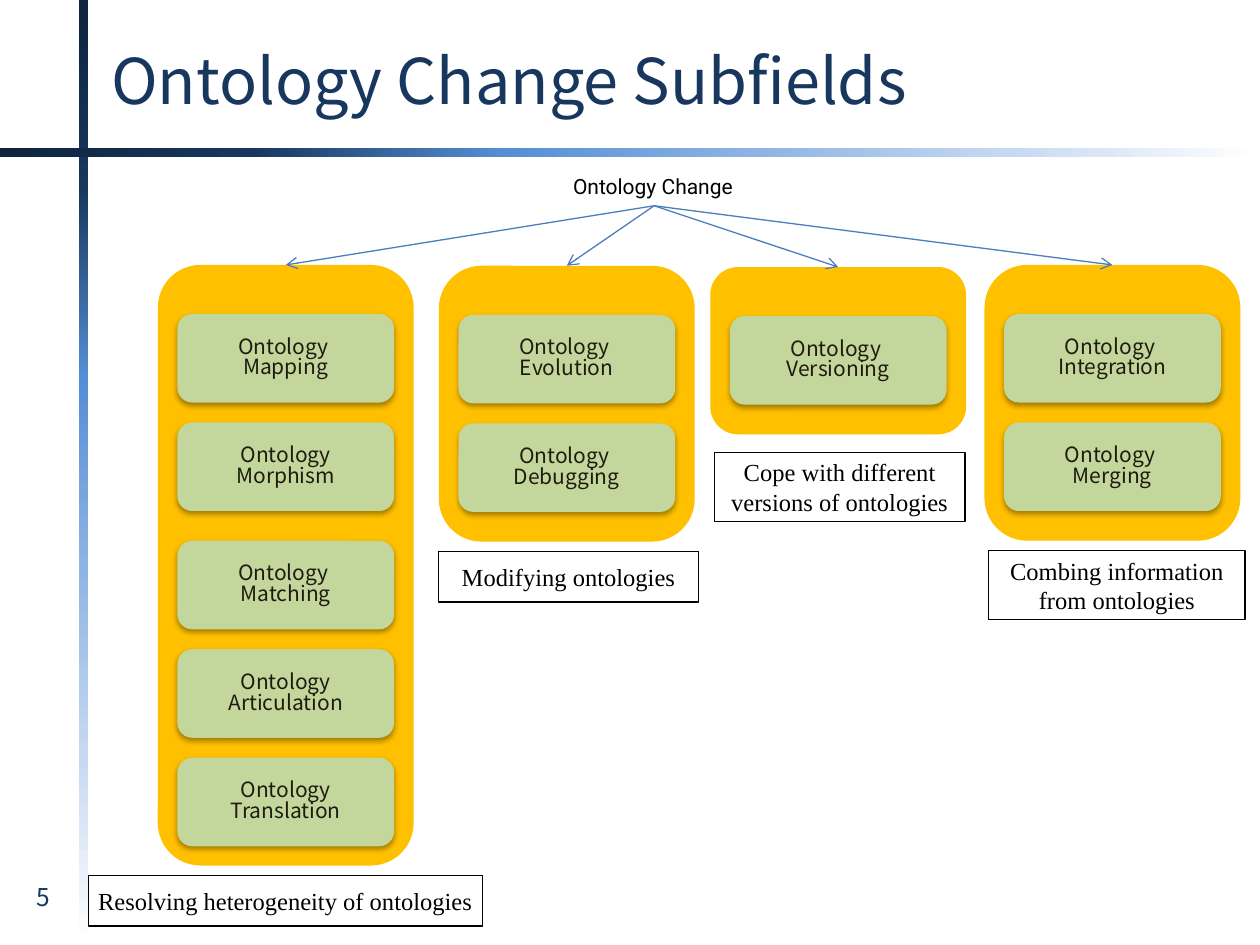
import pptx
import pptx.util
import pptx.oxml
import pptx.dml.color
import pptx.enum.shapes
import pptx.enum.text
import lxml.etree
from dataclasses import dataclass

Pt = pptx.util.Pt
SHAPE = pptx.enum.shapes.MSO_SHAPE
ALIGN = pptx.enum.text.PP_ALIGN
ANCHOR = pptx.enum.text.MSO_ANCHOR
A = "http://schemas.openxmlformats.org/drawingml/2006/main"


@dataclass(frozen=True)
class Theme:
    navy: str = "17375E"
    panel: str = "FFC000"
    card: str = "C3D69B"
    card_text: str = "1E1C11"
    arrow: str = "4B7EBC"
    black: str = "000000"
    white: str = "FFFFFF"
    fade: tuple = ("0F243E", "17375E", "558ED5", "8EB4E3", "C6D9F1", "FFFFFF")
    sans: str = "Noto Sans CJK KR"
    label: str = "Roboto"
    serif: str = "Times New Roman"
    title_size: int = 36
    note_size: int = 14
    card_size: int = 12


T = Theme()


def rgb(value):
    return pptx.dml.color.RGBColor.from_string(value)


def add_xml(parent, xml):
    parent.append(pptx.oxml.parse_xml(xml))


def add_block(s, kind, box, fill, line=None):
    sp = s.shapes.add_shape(kind, *map(Pt, box))
    sp.shadow.inherit = False
    sp.fill.solid()
    sp.fill.fore_color.rgb = rgb(fill)
    if line:
        sp.line.color.rgb = rgb(line)
        sp.line.width = Pt(0.75)
    else:
        sp.line.fill.background()
    return sp


def set_text(sp, lines, font, size, color, align=ALIGN.CENTER,
             anchor=ANCHOR.MIDDLE, wrap=True, spacing=None):
    tf = sp.text_frame
    for name, value in {"word_wrap": wrap, "vertical_anchor": anchor}.items():
        setattr(tf, name, value)
    for i, line in enumerate(lines):
        p = tf.add_paragraph() if i else tf.paragraphs[0]
        p.alignment = align
        if spacing:
            p.line_spacing = spacing
        r = p.add_run()
        r.text = line
        for name, value in {"name": font, "size": Pt(size)}.items():
            setattr(r.font, name, value)
        r.font.color.rgb = rgb(color)


def add_label(s, box, text, font, size, color, **style):
    sp = s.shapes.add_textbox(*map(Pt, box))
    set_text(sp, [text], font, size, color, **style)
    return sp


def add_fading_bar(s, box, angle):
    sp = add_block(s, SHAPE.RECTANGLE, box, T.navy)
    stops = "".join(
        f'<a:gs pos="{i * 20000}"><a:srgbClr val="{c}"/></a:gs>'
        for i, c in enumerate(T.fade))
    old = sp._element.spPr.find(f"{{{A}}}solidFill")
    old.getparent().replace(old, pptx.oxml.parse_xml(
        f'<a:gradFill xmlns:a="{A}" rotWithShape="1"><a:gsLst>{stops}</a:gsLst>'
        f'<a:lin ang="{angle * 60000}" scaled="0"/></a:gradFill>'))


def add_frame(s, width, height):
    """Crossing bars, title and page number."""
    add_fading_bar(s, (45, 0, 5.5, height), 90)
    add_fading_bar(s, (0, 84.5, width, 5.5), 0)
    add_label(s, (56.4, 11.5, 579.6, 67.7), "Ontology Change Subfields",
              T.sans, T.title_size, T.navy, align=ALIGN.LEFT)
    add_label(s, (4.3, 500.4, 41, 28.8), "5", T.sans, T.note_size, T.navy,
              anchor=ANCHOR.TOP)


def add_card(s, box, lines):
    sp = add_block(s, SHAPE.ROUNDED_RECTANGLE, box, T.card)
    add_xml(sp._element.spPr.find(f"{{{A}}}effectLst"),
            f'<a:outerShdw xmlns:a="{A}" blurRad="{Pt(3.1)}" dist="{Pt(1.8)}" '
            f'dir="5400000" rotWithShape="0"><a:srgbClr val="{T.black}">'
            f'<a:alpha val="35000"/></a:srgbClr></a:outerShdw>')
    set_text(sp, lines, T.sans, T.card_size, T.card_text, spacing=0.82)


def add_subfield(s, box, cards):
    """Panel with a stack of cards; a wider gap follows the second card."""
    x, y, w, h = box
    panel = add_block(s, SHAPE.ROUNDED_RECTANGLE, box, T.panel)
    margin = 11.2
    for i, lines in enumerate(cards):
        top = y + 28 + 62 * i + (5.6 if i >= 2 else 0)
        add_card(s, (x + margin, top, w - 2 * margin, 50.6), lines)
    return panel


def add_note(s, box, lines):
    sp = add_block(s, SHAPE.RECTANGLE, box, T.white, T.black)
    set_text(sp, lines, T.serif, T.note_size, T.black, wrap=False)


def add_arrow(s, source, target):
    """Arrow from the bottom of source to the top of target."""
    c = s.shapes.add_connector(pptx.enum.shapes.MSO_CONNECTOR.STRAIGHT, 0, 0, 0, 0)
    c.begin_connect(source, 2)
    c.end_connect(target, 0)
    c.line.color.rgb = rgb(T.arrow)
    c.line.width = Pt(0.75)
    add_xml(c.line._get_or_add_ln(), f'<a:tailEnd xmlns:a="{A}" type="arrow"/>')
    lxml.etree.SubElement(c._element.spPr, f"{{{A}}}effectLst")


SUBFIELDS = [
    ((90.2, 151.4, 146.2, 343.2),
     [["Ontology ", "Mapping"], ["Ontology Morphism"], ["Ontology ", "Matching"],
      ["Ontology", "Articulation"], ["Ontology", "Translation"]],
     (50.4, 500.4, 225.4, 28.8), ["Resolving heterogeneity of ontologies"]),
    ((250.8, 151.9, 146.2, 157.6),
     [["Ontology ", "Evolution"], ["Ontology ", "Debugging"]],
     (250.4, 315.2, 149, 28.8), ["Modifying ontologies"]),
    ((405.9, 152.6, 146.2, 95.6),
     [["Ontology ", "Versioning"]],
     (408.2, 258.4, 143.3, 39.6), ["Cope with different", "versions of ontologies"]),
    ((562.6, 151.4, 146.2, 157.6),
     [["Ontology ", "Integration"], ["Ontology ", "Merging"]],
     (565, 314.6, 146.4, 39.6), ["Combing information", "from ontologies"]),
]


def main():
    prs = pptx.Presentation()
    width, height = 720, 540
    prs.slide_width, prs.slide_height = Pt(width), Pt(height)
    s = prs.slides.add_slide(prs.slide_layouts[6])
    add_frame(s, width, height)
    root = add_label(s, (320.4, 95.6, 106.8, 22), "Ontology Change", T.label,
                     T.card_size, T.black, align=ALIGN.LEFT,
                     anchor=ANCHOR.TOP, wrap=False)
    for box, cards, note_box, note in SUBFIELDS:
        panel = add_subfield(s, box, cards)
        add_note(s, note_box, note)
        add_arrow(s, root, panel)
    prs.save("out.pptx")


if __name__ == "__main__":
    main()
